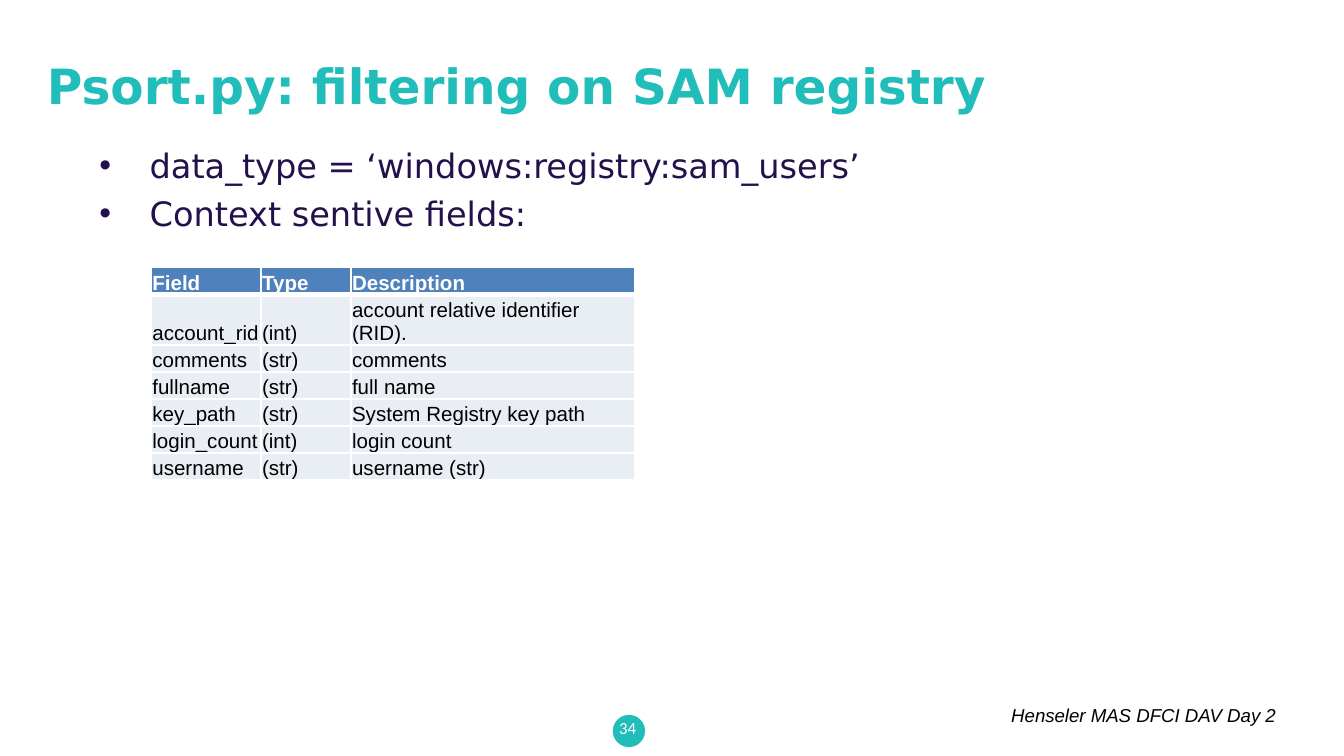
import pptx
import pptx.dml.color
import pptx.enum.shapes
import pptx.enum.text
import pptx.oxml
import pptx.oxml.ns
import pptx.util
from lxml import etree

Pt = pptx.util.Pt
ALIGN = pptx.enum.text.PP_ALIGN
ANCHOR = pptx.enum.text.MSO_ANCHOR

TEAL, NAVY, WHITE, BLACK = "20BDBA", "23114C", "FFFFFF", "000000"
HEADER_BLUE, ROW_GREY = "4F81BD", "E9EDF4"


def rgb(value):
    return pptx.dml.color.RGBColor.from_string(value)


def set_values(target, values):
    for name, value in values.items():
        setattr(target, name, value)


def add_border(cell, side, width):
    """Draw a white line on one side (L, R, T or B) of a table cell."""
    properties = cell._tc.get_or_add_tcPr()
    line = etree.SubElement(properties, pptx.oxml.ns.qn(f"a:ln{side}"), w=str(Pt(width)))
    fill = etree.SubElement(line, pptx.oxml.ns.qn("a:solidFill"))
    etree.SubElement(fill, pptx.oxml.ns.qn("a:srgbClr"), val=WHITE)


class SlideBuilder:
    """Holds the text styles and the slide being filled."""

    styles = {
        "title": {"name": "DejaVu Sans", "size": Pt(26), "bold": True, "color": TEAL},
        "bullet": {"name": "DejaVu Sans", "size": Pt(18), "color": NAVY},
        "number": {"name": "Calibri", "size": Pt(9), "color": WHITE},
        "footer": {"name": "Arial", "size": Pt(10), "italic": True, "color": BLACK},
        "header": {"name": "Arial", "size": Pt(11), "bold": True, "color": WHITE},
        "entry": {"name": "Arial", "size": Pt(11), "bold": False, "color": BLACK},
    }

    def __init__(self, slide):
        self.slide = slide

    def styled_text(self, paragraph, text, style):
        paragraph.text = text
        font = paragraph.runs[0].font
        values = dict(self.styles[style])
        font.color.rgb = rgb(values.pop("color"))
        set_values(font, values)

    def text(self, box, lines, style, align=ALIGN.LEFT, anchor=ANCHOR.TOP, indent=0, gap=0):
        """Add a text box; an indent above zero makes each line a bullet."""
        frame = self.slide.shapes.add_textbox(*map(Pt, box)).text_frame
        set_values(frame, {"word_wrap": True, "vertical_anchor": anchor})
        for index, line in enumerate(lines):
            paragraph = frame.add_paragraph() if index else frame.paragraphs[0]
            if indent:
                properties = paragraph._p.get_or_add_pPr()
                properties.set("marL", str(Pt(indent)))
                properties.set("indent", str(-Pt(indent)))
                etree.SubElement(properties, pptx.oxml.ns.qn("a:buFont"), typeface="Arial")
                etree.SubElement(properties, pptx.oxml.ns.qn("a:buChar"), char="•")
            if index:
                paragraph.space_before = Pt(gap)
            paragraph.alignment = align
            self.styled_text(paragraph, line, style)

    def disc(self, box, color):
        disc = self.slide.shapes.add_shape(
            pptx.enum.shapes.MSO_SHAPE.OVAL, *map(Pt, box))
        disc.shadow.inherit = False
        disc.fill.solid()
        disc.fill.fore_color.rgb = rgb(color)
        disc.line.fill.background()

    def table(self, left, top, widths, row_height, rows):
        table = self.slide.shapes.add_table(
            len(rows), len(widths), Pt(left), Pt(top),
            Pt(sum(widths)), Pt(row_height * len(rows))).table
        table.horz_banding = False
        for column, width in zip(table.columns, widths):
            column.width = Pt(width)
        for index, (row, entries) in enumerate(zip(table.rows, rows)):
            row.height = Pt(row_height)
            for cell, entry in zip(row.cells, entries):
                self.cell(cell, entry, index)

    def cell(self, cell, entry, row_index):
        set_values(cell, {
            "margin_left": Pt(0.6), "margin_right": Pt(0.6), "margin_top": Pt(0.6),
            "margin_bottom": Pt(0), "vertical_anchor": ANCHOR.BOTTOM,
        })
        widths = {"L": 1, "R": 1, "T": 3 if row_index == 1 else 1,
                  "B": 3 if row_index == 0 else 1}
        for side, width in widths.items():
            add_border(cell, side, width)
        cell.fill.solid()
        cell.fill.fore_color.rgb = rgb(ROW_GREY if row_index else HEADER_BLUE)
        self.styled_text(cell.text_frame.paragraphs[0], entry,
                         "entry" if row_index else "header")


def main():
    deck = pptx.Presentation()
    set_values(deck, {"slide_width": Pt(720), "slide_height": Pt(405)})
    builder = SlideBuilder(deck.slides.add_slide(deck.slide_layouts[6]))

    builder.disc((328.3, 383, 17.3, 17.3), TEAL)
    builder.text((320.4, 379.4, 31.7, 21.6), ["34"], "number", ALIGN.CENTER, ANCHOR.MIDDLE)
    builder.text((364.3, 373.7, 326.2, 19.4), ["Henseler MAS DFCI DAV Day 2"],
                 "footer", ALIGN.RIGHT)
    builder.text((18, 16.6, 656.6, 58.3), ["Psort.py: filtering on SAM registry"],
                 "title", anchor=ANCHOR.MIDDLE)
    builder.text((46.1, 74.2, 430.6, 288),
                 ["data_type = ‘windows:registry:sam_users’", "Context sentive fields:"],
                 "bullet", indent=27, gap=4)

    fields = [
        ("Field", "Type", "Description"),
        ("account_rid", "(int)", "account relative identifier (RID)."),
        ("comments", "(str)", "comments"),
        ("fullname", "(str)", "full name"),
        ("key_path", "(str)", "System Registry key path"),
        ("login_count", "(int)", "login count"),
        ("username", "(str)", "username (str)"),
    ]
    builder.table(81, 143.3, (58.8, 48.2, 152), 14.5, fields)
    deck.save("out.pptx")


if __name__ == "__main__":
    main()
